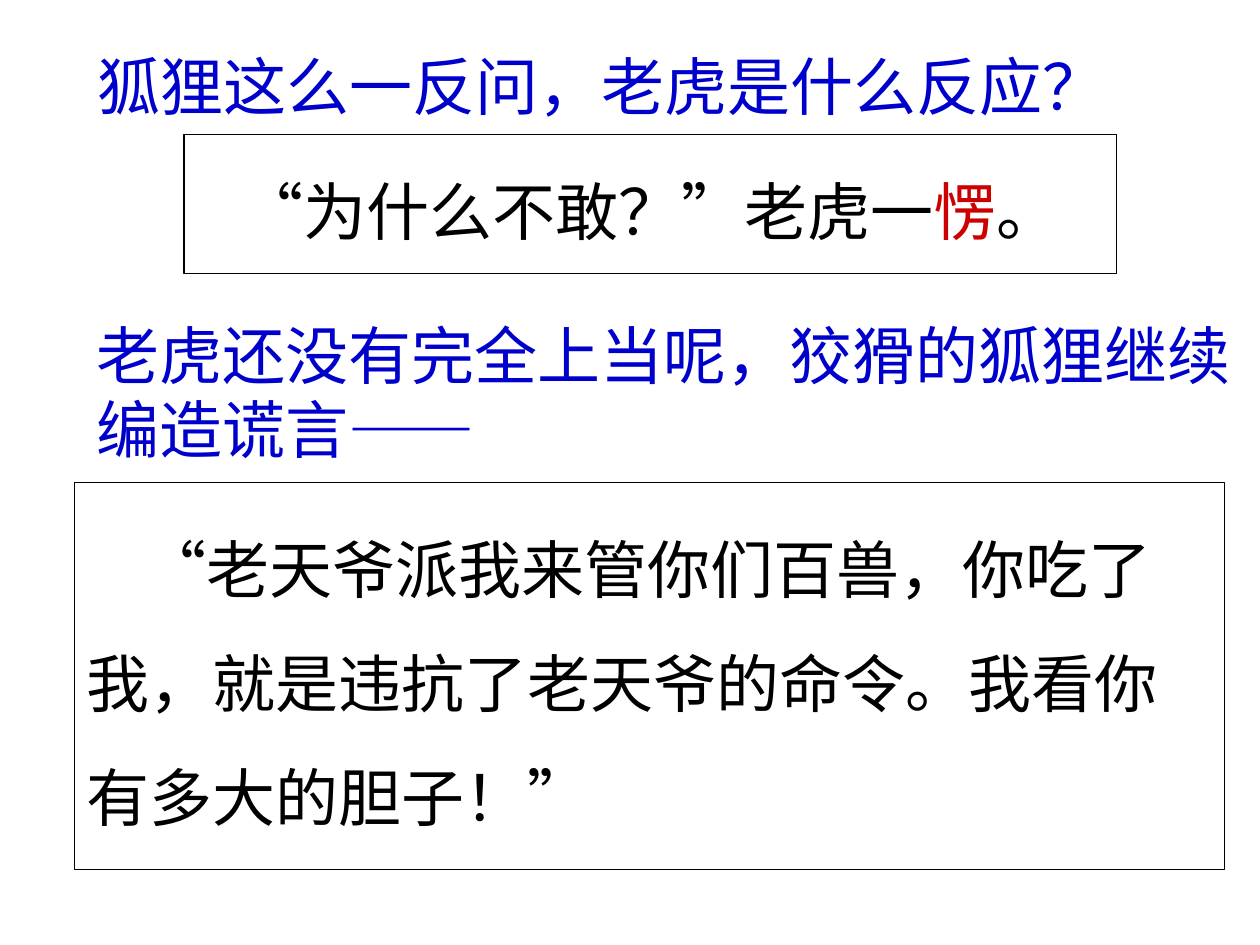
from pptx import Presentation
from pptx.dml.color import RGBColor
from pptx.enum.shapes import MSO_SHAPE as Shape
from pptx.enum.text import MSO_ANCHOR as Anchor, MSO_AUTO_SIZE as AutoSize, PP_ALIGN as Align
from pptx.oxml.ns import qn
from pptx.util import Inches, Pt

BLUE, BLACK, RED = "0000CC", "000000", "CC0000"
ASIAN_FONT = "Noto Sans CJK SC"
FRAME = dict(word_wrap=True, auto_size=AutoSize.NONE,
             margin_left=Inches(0.1), margin_right=Inches(0.1),
             margin_top=Inches(0.11), margin_bottom=0)


def color(value):
    return RGBColor.from_string(value)


def set_all(target, values):
    for name, value in values.items():
        setattr(target, name, value)


def write(shape, paragraphs, font, anchor, align, indent=0):
    """Fill a shape with paragraphs, each a list of (text, colour) spans."""
    frame = shape.text_frame
    set_all(frame, dict(FRAME, vertical_anchor=anchor))
    for index, spans in enumerate(paragraphs):
        para = frame.add_paragraph() if index else frame.paragraphs[0]
        set_all(para, dict(alignment=align, line_spacing=Pt(42.5),
                           space_before=Pt(22.5 if index else 0)))
        if indent and not index:
            para._p.get_or_add_pPr().set("indent", str(Inches(indent)))
        for text, shade in spans:
            span = para.add_run()
            span.text = text
            set_all(span.font, dict(name=font, size=Pt(36), bold=False))
            span.font.color.rgb = color(shade)
            latin = span.font._element.find(qn("a:latin"))
            asian = latin.makeelement(qn("a:ea"), {"typeface": ASIAN_FONT})
            latin.addnext(asian)


def question(page, box, text):
    title = page.shapes.title
    set_all(title, dict(zip(("left", "top", "width", "height"), map(Inches, box))))
    write(title, [[(text, BLUE)]], "Arial", Anchor.TOP, Align.LEFT)


def bridge(page, box, text):
    note = page.shapes.add_textbox(*map(Inches, box))
    write(note, [[(text, BLUE)]], "Arial", Anchor.TOP, Align.LEFT)


def quotation(page, box, paragraphs, font, align, indent=0):
    panel = page.shapes.add_shape(Shape.RECTANGLE, *map(Inches, box))
    panel.shadow.inherit = False
    panel.fill.background()
    panel.line.color.rgb = color(BLACK)
    panel.line.width = Pt(0.75)
    write(panel, paragraphs, font, Anchor.MIDDLE, align, indent)


def main():
    deck = Presentation()
    set_all(deck, dict(slide_width=Inches(10), slide_height=Inches(7.5)))
    page = deck.slides.add_slide(deck.slide_layouts[5])
    question(page, (0.67, 0.28, 9.02, 0.7), "狐狸这么一反问，老虎是什么反应？")
    bridge(page, (0.67, 2.41, 9.33, 1.3), "老虎还没有完全上当呢，狡猾的狐狸继续编造谎言——")
    quotation(page, (1.46, 1.07, 7.4, 1.1),
              [[("“为什么不敢？”老虎一", BLACK), ("愣", RED), ("。", BLACK)]],
              "Arial", Align.CENTER)
    lines = ("“老天爷派我来管你们百兽，你吃了",
             "我，就是违抗了老天爷的命令。我看你",
             "有多大的胆子！”")
    quotation(page, (0.59, 3.83, 9.13, 3.07), [[(line, BLACK)] for line in lines],
              ASIAN_FONT, Align.LEFT, indent=0.45)
    deck.save("out.pptx")


if __name__ == "__main__":
    main()
